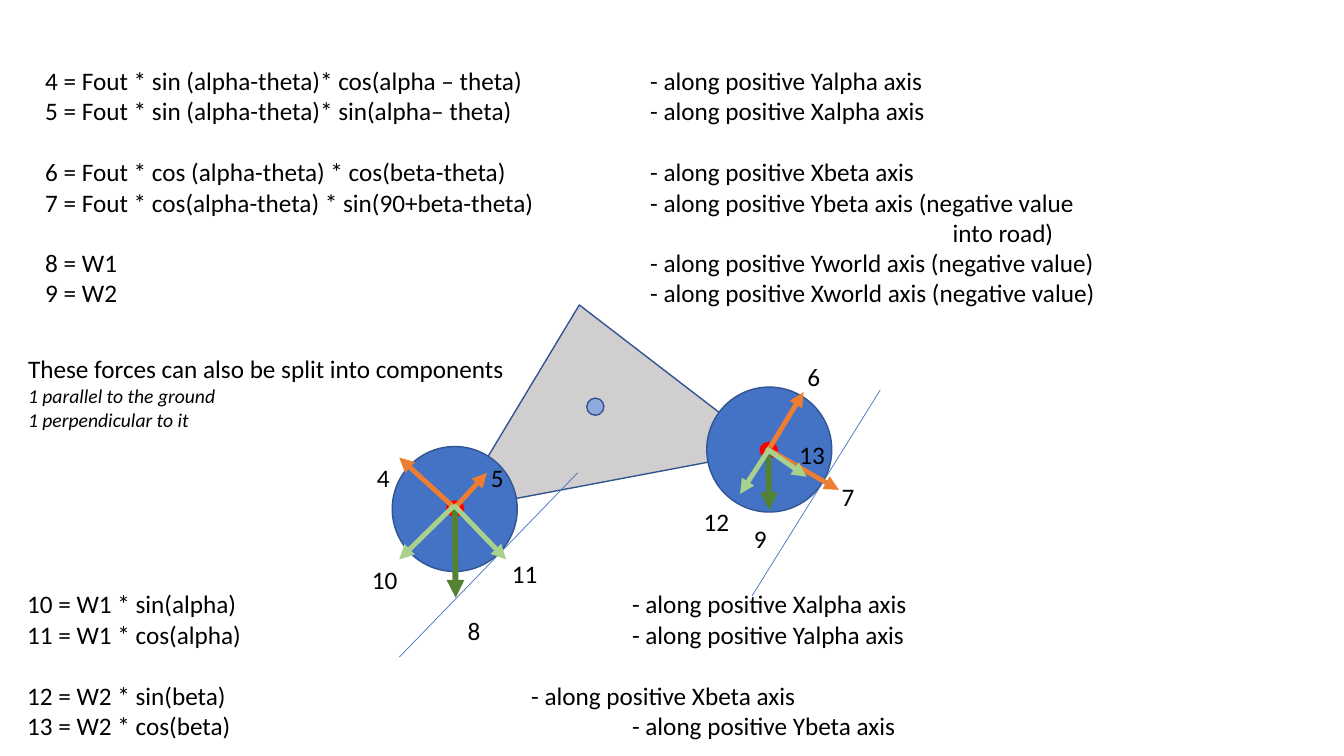
from lxml.etree import SubElement
from pptx import Presentation
from pptx.dml.color import RGBColor
from pptx.enum.shapes import MSO_CONNECTOR, MSO_SHAPE
from pptx.oxml.ns import qn
from pptx.util import Inches, Pt

COLORS = {
    "text": "000000", "frame": "D0CECE", "outline": "325491", "wheel": "4472C4",
    "hub": "FF0000", "pivot": "8FAADC", "reaction": "ED7D31",
    "weight": "548235", "component": "A9D18E",
}

deck = Presentation()
deck.slide_width, deck.slide_height = Inches(13.33), Inches(7.5)
page = deck.slides.add_slide(deck.slide_layouts[6])


def add_line(start, end, color, width, arrow=False):
    line = page.shapes.add_connector(
        MSO_CONNECTOR.STRAIGHT, *[Inches(value) for value in start + end])
    line.line.color.rgb = RGBColor.from_string(COLORS[color])
    line.line.width = Pt(width)
    properties = line._element.spPr
    if arrow:
        SubElement(properties.find(qn("a:ln")), qn("a:tailEnd"), type="triangle")
    SubElement(properties, qn("a:effectLst"))


def add_text(position, rows, wrap=True):
    """Each row is (text, size, italic, space before, tab stops)."""
    box = page.shapes.add_textbox(*[Inches(value) for value in position])
    frame = box.text_frame
    frame.word_wrap = wrap
    for index, (text, size, italic, space, stops) in enumerate(rows):
        para = frame.paragraphs[0] if index == 0 else frame.add_paragraph()
        para.space_before = Pt(space)
        span = para.add_run()
        span.text = text
        span.font.name = "Calibri"
        span.font.size = Pt(size)
        span.font.italic = italic
        span.font.color.rgb = RGBColor.from_string(COLORS["text"])
        if stops:
            tabs = SubElement(para._p.get_or_add_pPr(), qn("a:tabLst"))
            for stop in stops:
                SubElement(tabs, qn("a:tab"), pos=str(Inches(stop)), algn="l")


# Frame, wheels, hubs and pivot
bodies = [
    (MSO_SHAPE.ISOSCELES_TRIANGLE, (4.33, 3.01, 3.16, 1.77), -10.7, "frame", "outline"),
    (MSO_SHAPE.OVAL, (3.89, 4.43, 1.24, 1.24), 0, "wheel", "outline"),
    (MSO_SHAPE.OVAL, (7.01, 3.84, 1.24, 1.24), 0, "wheel", "outline"),
    (MSO_SHAPE.OVAL, (4.43, 4.97, 0.17, 0.15), 0, "hub", "hub"),
    (MSO_SHAPE.OVAL, (7.54, 4.39, 0.17, 0.15), 0, "hub", "hub"),
    (MSO_SHAPE.OVAL, (5.82, 3.95, 0.17, 0.17), 0, "pivot", "outline"),
]
for kind, position, rotation, fill, outline in bodies:
    body = page.shapes.add_shape(kind, *[Inches(value) for value in position])
    body.rotation = rotation
    body.shadow.inherit = False
    body.fill.solid()
    body.fill.fore_color.rgb = RGBColor.from_string(COLORS[fill])
    body.line.color.rgb = RGBColor.from_string(COLORS[outline])
    body.line.width = Pt(1)

# Ground lines under the wheels
add_line((3.96, 6.52), (5.73, 4.69), "wheel", 0.5)
add_line((7.46, 5.91), (8.73, 3.87), "wheel", 0.5)

# Force arrows
forces = [
    ((4.52, 5.05), (3.96, 4.54), "reaction", 3.5),
    ((4.5, 5.05), (4.83, 4.69), "reaction", 3.5),
    ((7.63, 4.45), (7.97, 3.89), "reaction", 3.5),
    ((4.51, 5.04), (4.52, 5.93), "weight", 4.25),
    ((7.62, 4.44), (7.63, 5.06), "weight", 4.25),
    ((7.62, 4.47), (7.34, 4.9), "component", 3.5),
    ((4.5, 5.02), (3.96, 5.55), "component", 3.5),
    ((4.5, 5.01), (5.02, 5.55), "component", 3.5),
    ((7.62, 4.46), (8.32, 4.86), "reaction", 3.5),
    ((7.6, 4.45), (8, 4.73), "component", 3.5),
]
for start, end, color, width in forces:
    add_line(start, end, color, width, arrow=True)

# Force numbers
numbers = {
    "4": (3.64, 4.54), "5": (4.77, 4.54), "6": (7.91, 3.54), "7": (8.25, 4.73),
    "8": (4.54, 6.06), "9": (7.38, 5.14), "10": (3.59, 5.55),
    "11": (4.98, 5.49), "12": (6.88, 4.97), "13": (7.83, 4.31),
}
for number, corner in numbers.items():
    width = 0.33 if len(number) == 1 else 0.46
    add_text((*corner, width, 0.4), [(number, 18, False, 0, ())], wrap=False)

# Note on components
add_text((0.18, 3.46, 5.1, 0.88), [
    ("These forces can also be split into components", 18, False, 0, ()),
    ("1 parallel to the ground", 14, True, 0, ()),
    ("1 perpendicular to it", 14, True, 0, ()),
])

# Equations: (text, space before, tab stop of the axis column)
reactions = [
    ("4 = Fout * sin (alpha-theta)* cos(alpha – theta)\t- along positive Yalpha axis", 0, 6),
    ("5 = Fout * sin (alpha-theta)* sin(alpha– theta)\t- along positive Xalpha axis", 0, 6),
    ("6 = Fout * cos (alpha-theta) * cos(beta-theta)\t- along positive Xbeta axis", 22, 6),
    ("7 = Fout * cos(alpha-theta) * sin(90+beta-theta)"
     "\t- along positive Ybeta axis (negative value", 0, 6),
    ("\tinto road)", 0, 9),
    ("8 = W1\t- along positive Yworld axis (negative value)", 0, 6),
    ("9 = W2\t- along positive Xworld axis (negative value)", 0, 6),
]
weights = [
    ("10 = W1 * sin(alpha)\t- along positive Xalpha axis", 0, 6),
    ("11 = W1 * cos(alpha)\t- along positive Yalpha axis", 0, 6),
    ("12 = W2 * sin(beta)\t- along positive Xbeta axis", 22, 5),
    ("13 = W2 * cos(beta)\t- along positive Ybeta axis", 0, 6),
]
for position, equations in [((0.35, 0.6, 10.73, 2.52), reactions),
                            ((0.17, 5.79, 9.02, 1.62), weights)]:
    add_text(position, [(text, 18, False, space, (stop,))
                        for text, space, stop in equations])

deck.save("out.pptx")
